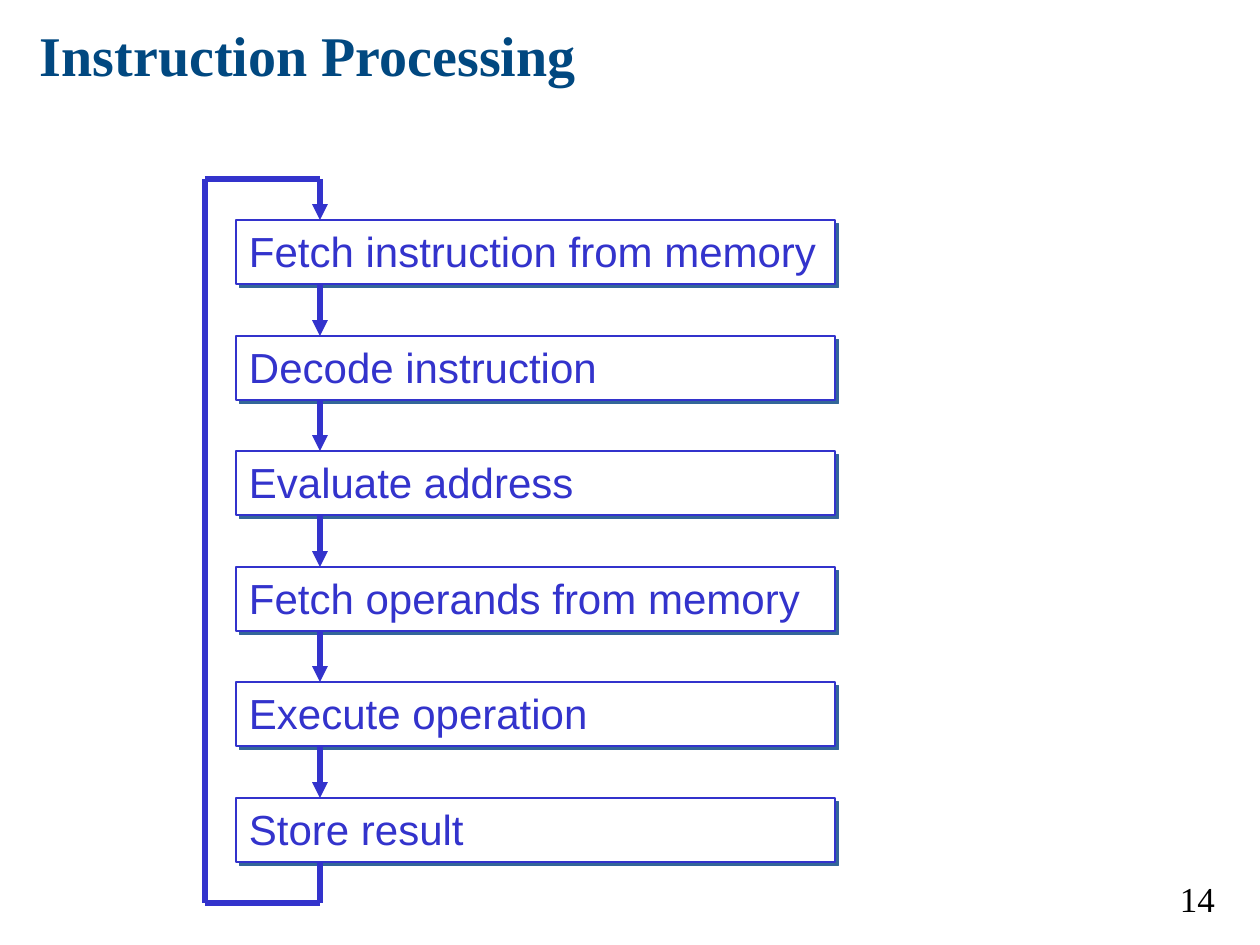
from lxml.etree import SubElement
from pptx import Presentation
from pptx.dml.color import RGBColor
from pptx.enum.shapes import MSO_CONNECTOR, MSO_SHAPE
from pptx.enum.text import MSO_ANCHOR, PP_ALIGN
from pptx.oxml.ns import qn
from pptx.util import Pt

PX = 914400 // 126
COLORS = {"title": "014880", "flow": "3333CC", "shadow": "336699",
          "box": "FFFFFF", "number": "000000"}

prs = Presentation()
prs.slide_width, prs.slide_height = 9144000, 6858000
slide = prs.slides.add_slide(prs.slide_layouts[6])


def write(shape, text, size, color, font="Times New Roman", bold=False,
          align=PP_ALIGN.LEFT, inset=(13, 6)):
    frame = shape.text_frame
    frame.word_wrap = True
    frame.vertical_anchor = MSO_ANCHOR.TOP
    frame.margin_left = frame.margin_right = inset[0] * PX
    frame.margin_top = frame.margin_bottom = inset[1] * PX
    paragraph = frame.paragraphs[0]
    paragraph.alignment = align
    run = paragraph.add_run()
    run.text = text
    run.font.name, run.font.size, run.font.bold = font, Pt(size), bold
    run.font.color.rgb = RGBColor.from_string(COLORS[color])


def connect(x1, y1, x2, y2, arrow=False):
    line = slide.shapes.add_connector(
        MSO_CONNECTOR.STRAIGHT, x1 * PX, y1 * PX, x2 * PX, y2 * PX)
    line.line.color.rgb = RGBColor.from_string(COLORS["flow"])
    line.line.width = Pt(3)
    if arrow:
        SubElement(line.line._get_or_add_ln(), qn("a:tailEnd"), type="triangle")
    SubElement(line._element.spPr, qn("a:effectLst"))


# Title
title = slide.shapes.add_textbox(40 * PX, 21 * PX, 891 * PX, 68 * PX)
write(title, "Instruction Processing", 32, "title", bold=True, inset=(0, 0))

# Steps of the cycle, spaced evenly from first to last
steps = ["Fetch instruction from memory", "Decode instruction",
         "Evaluate address", "Fetch operands from memory",
         "Execute operation", "Store result"]
first_top, last_top, box_height = 220, 798, 64
tops = [first_top + round(i * (last_top - first_top) / (len(steps) - 1))
        for i in range(len(steps))]
for step, top in zip(steps, tops):
    box = slide.shapes.add_shape(
        MSO_SHAPE.RECTANGLE, 236 * PX, top * PX, 599 * PX, box_height * PX)
    box.fill.solid()
    box.fill.fore_color.rgb = RGBColor.from_string(COLORS["box"])
    box.line.color.rgb = RGBColor.from_string(COLORS["flow"])
    box.line.width = Pt(0.75)
    box.shadow.inherit = False
    effects = box._element.spPr.find(qn("a:effectLst"))
    shadow = SubElement(effects, qn("a:outerShdw"), dist=str(Pt(2.8)),
                        dir="2700000", algn="ctr", rotWithShape="0")
    SubElement(shadow, qn("a:srgbClr"), val=COLORS["shadow"])
    write(box, step, 24, "flow", font="Arial")

# Arrows between consecutive steps
arrow_x = 320
for top, next_top in zip(tops, tops[1:]):
    connect(arrow_x, top + box_height, arrow_x, next_top, arrow=True)

# Loop from the last step back to the first
loop_x, loop_top, loop_bottom = 205, 179, 903
corners = [(arrow_x, last_top + box_height), (arrow_x, loop_bottom),
           (loop_x, loop_bottom), (loop_x, loop_top),
           (arrow_x, loop_top), (arrow_x, first_top)]
for start, end in zip(corners, corners[1:]):
    connect(*start, *end, arrow=end == corners[-1])

# Slide number
number = slide.shapes.add_textbox(903 * PX, 872 * PX, 325 * PX, 53 * PX)
write(number, "14", 20, "number", align=PP_ALIGN.RIGHT)

prs.save("out.pptx")
